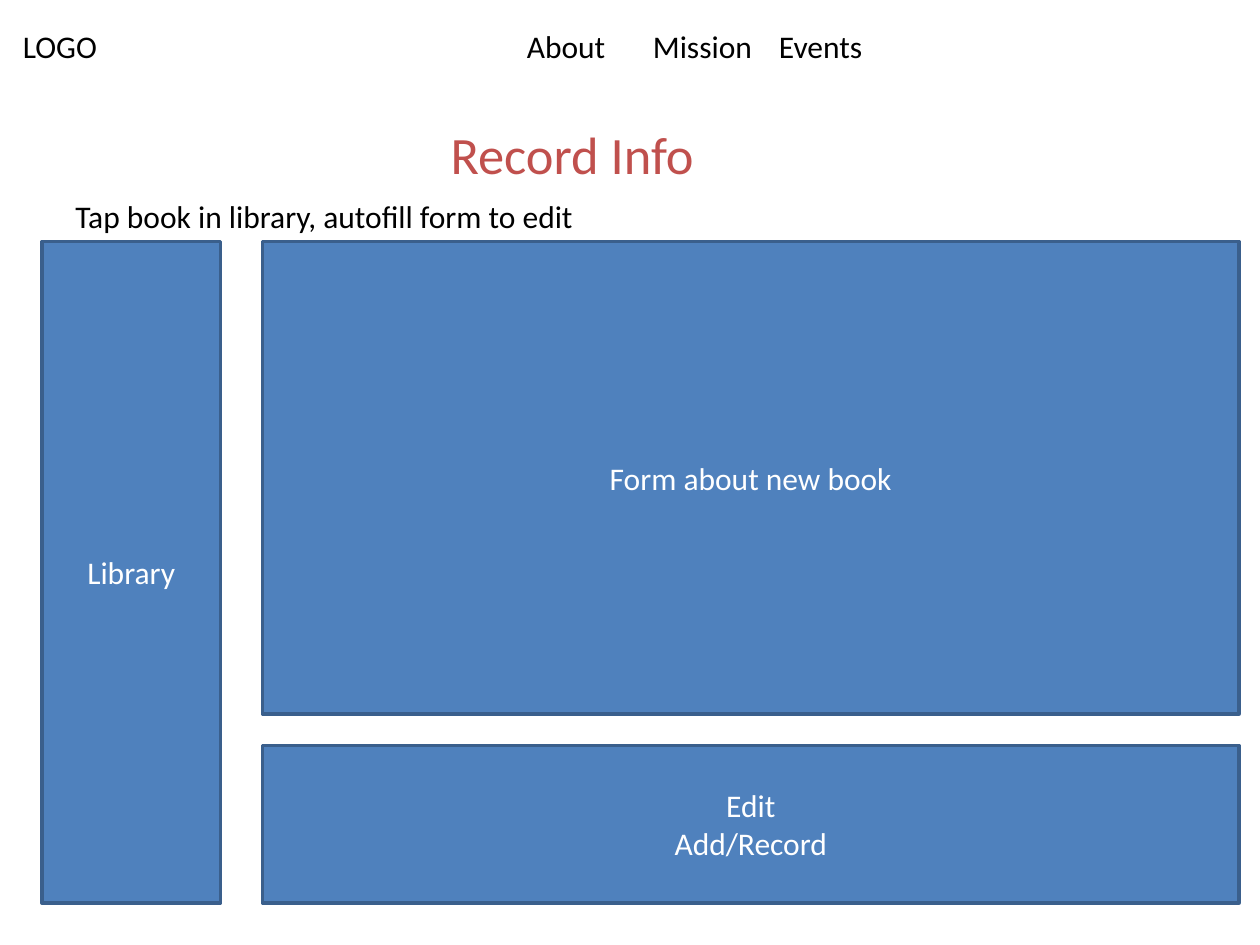
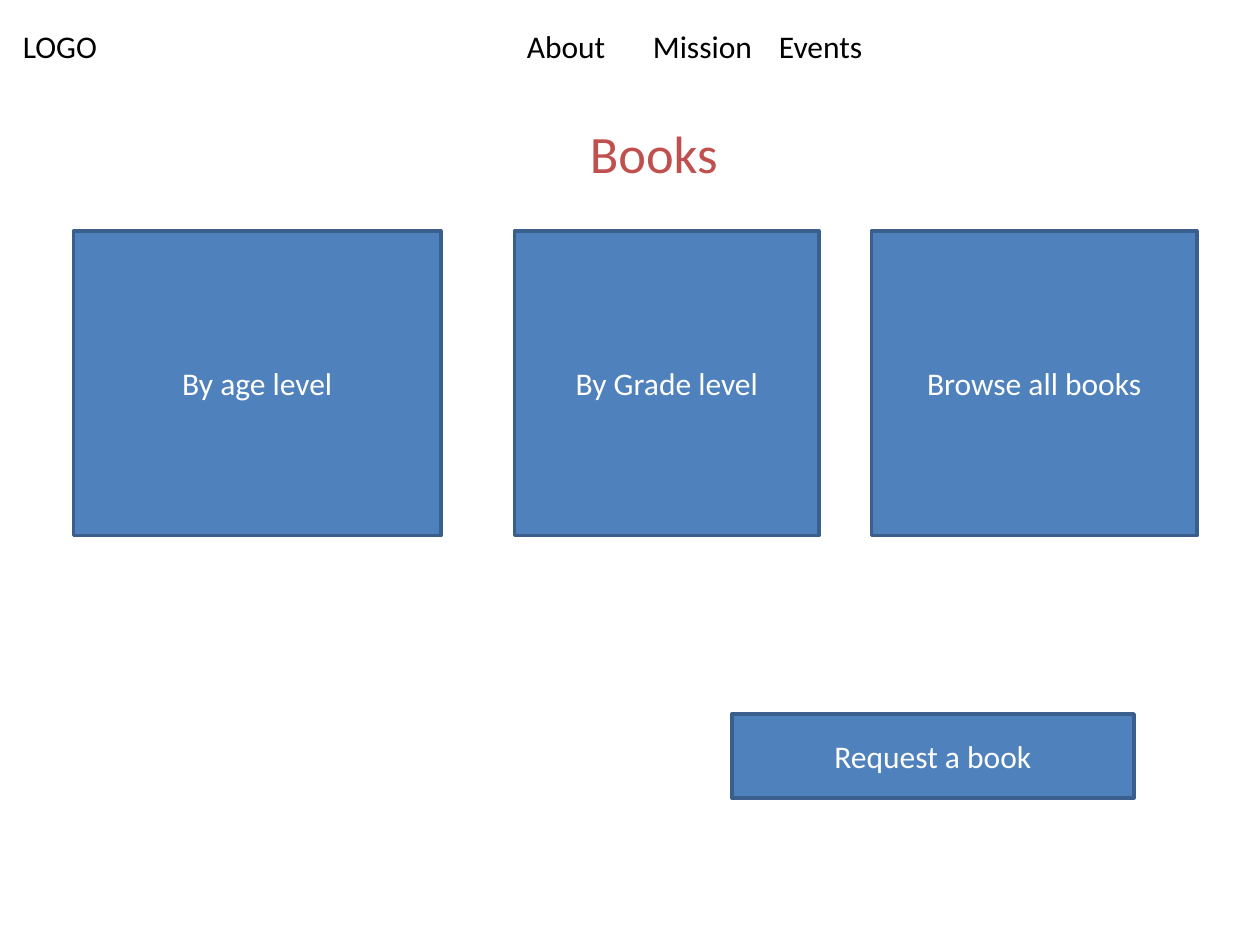
from pptx import Presentation
from pptx import util as u
from pptx.dml.color import RGBColor
from pptx.enum import shapes, text

FONT = "Calibri"
BLACK, WHITE, RED = "000000", "FFFFFF", "C0504D"
BLUE, DARK_BLUE = "4F81BD", "3A5F8C"
COLUMNS, ROWS = 120, 90

presentation = Presentation()
presentation.slide_width = u.Inches(10)
presentation.slide_height = u.Inches(7.5)
column = presentation.slide_width / COLUMNS
row = presentation.slide_height / ROWS


def color(hex_string):
    return RGBColor.from_string(hex_string)


def add_text(slide, content, left, top, width, height, size=18, ink=BLACK,
             fill=None, centered=False, wrap=False):
    """Place text on the grid, inside an outlined rectangle if a fill is given."""
    area = [int(left * column), int(top * row), int(width * column), int(height * row)]
    if fill:
        shape = slide.shapes.add_shape(shapes.MSO_SHAPE.RECTANGLE, *area)
        shape.shadow.inherit = False
        shape.fill.solid()
        shape.fill.fore_color.rgb = color(fill)
        shape.line.color.rgb = color(DARK_BLUE)
        shape.line.width = u.Pt(2)
    else:
        shape = slide.shapes.add_textbox(*area)
    frame = shape.text_frame
    frame.word_wrap = wrap
    frame.vertical_anchor = text.MSO_ANCHOR.MIDDLE if fill else text.MSO_ANCHOR.TOP
    frame.text = content
    for paragraph in frame.paragraphs:
        paragraph.alignment = text.PP_ALIGN.CENTER if centered else text.PP_ALIGN.LEFT
        for run in paragraph.runs:
            run.font.name = FONT
            run.font.size = u.Pt(size)
            run.font.color.rgb = color(ink)


# Shared styles
title_style = {"size": 30, "ink": RED}
panel_style = {"ink": WHITE, "fill": BLUE, "centered": True, "wrap": True}

# Slides with the shared navigation bar
blank_layout = presentation.slide_layouts[6]
record_slide, books_slide = [presentation.slides.add_slide(blank_layout) for _ in range(2)]
navigation = "LOGO" + "\t" * 7 + "About\tMission\tEvents"
for slide in (record_slide, books_slide):
    add_text(slide, navigation, 1, 2, 123.6, 4.8)

# Record Info: library beside the form and its buttons
add_text(record_slide, "Record Info", 28, 11, 53, 7.3, centered=True, wrap=True, **title_style)
panel_top, panel_bottom = 23, 86
form_left, form_width = 25, 93
form_height, buttons_height = 45, 15
add_text(record_slide, "Library", 4, panel_top, 17, panel_bottom - panel_top, **panel_style)
add_text(record_slide, "Form about new book", form_left, panel_top,
         form_width, form_height, **panel_style)
add_text(record_slide, "Edit\nAdd/Record", form_left, panel_bottom - buttons_height,
         form_width, buttons_height, **panel_style)
add_text(record_slide, "Tap book in library, autofill form to edit", 6, 18.2, 50.4, 4.8)

# Books: three ways to browse, and a request button
add_text(books_slide, "Books", 55, 10.9, 14.8, 7.3, **title_style)
for label, left, width in [("By age level", 7, 35),
                           ("By Grade level", 49, 29),
                           ("Browse all books", 83, 31)]:
    add_text(books_slide, label, left, 22, width, 29, **panel_style)
add_text(books_slide, "Request a book", 69.7, 68, 38.3, 8, **panel_style)

presentation.save("out.pptx")
